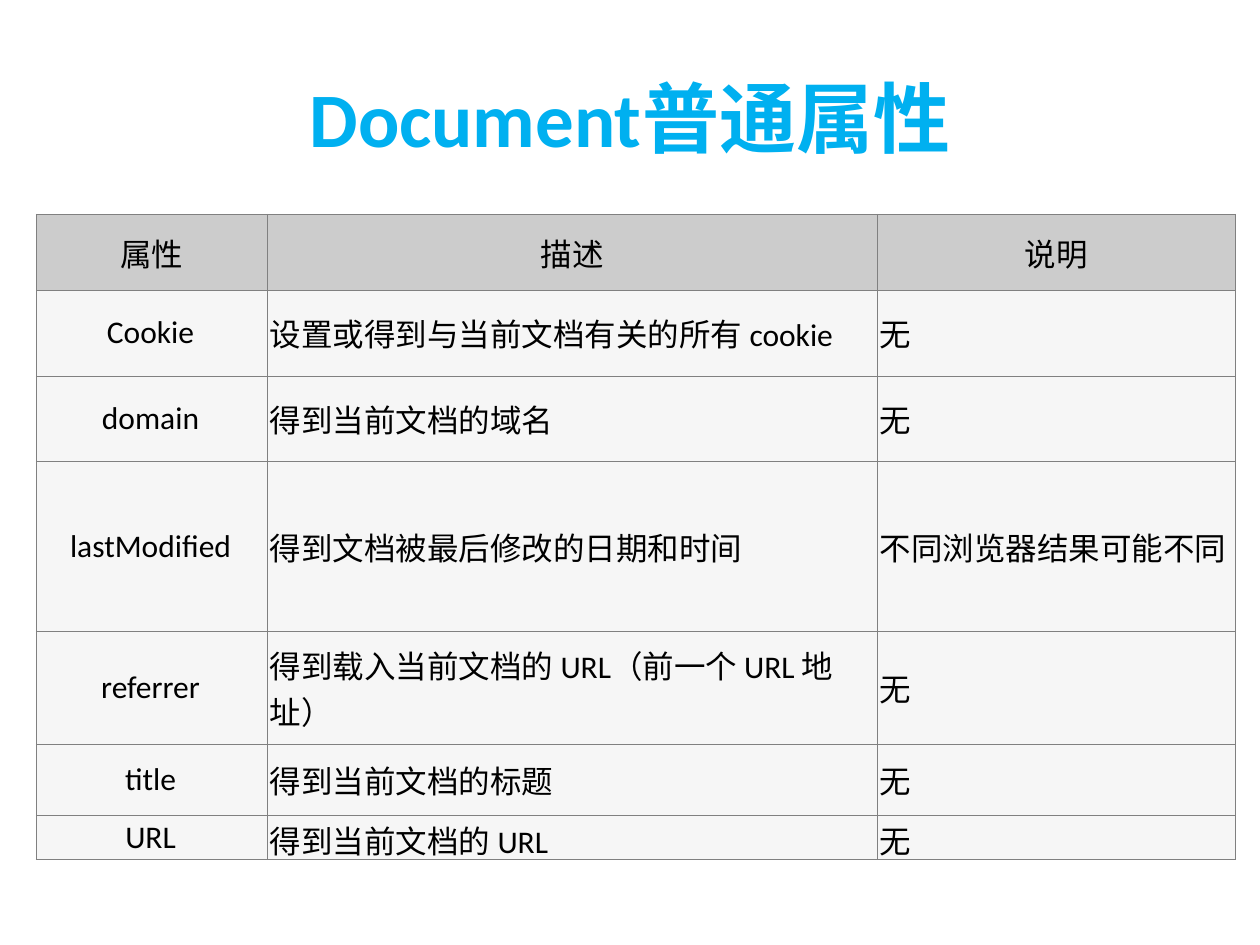
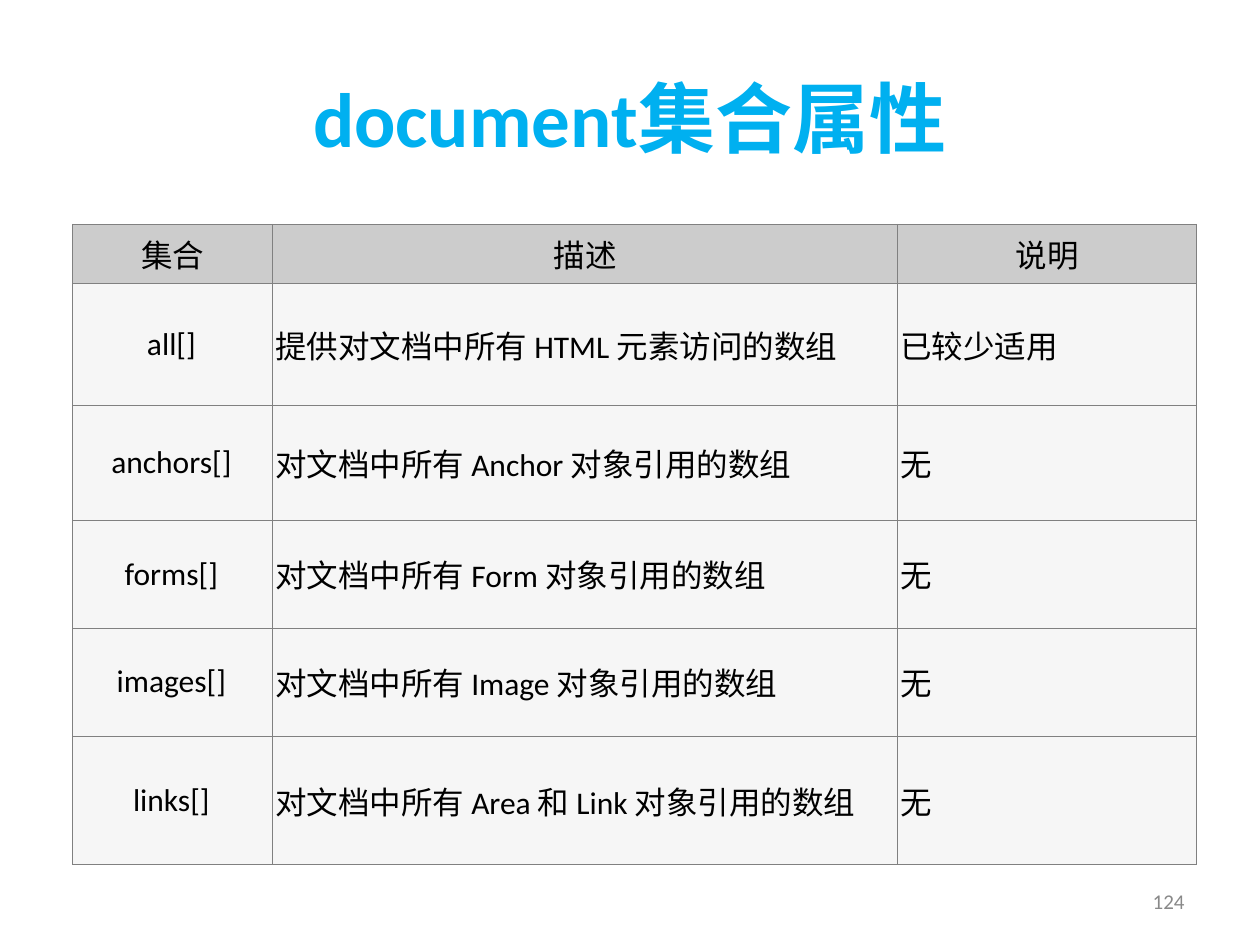
from lxml import etree
from pptx import Presentation
from pptx.dml.color import RGBColor
from pptx.enum import lang, text
from pptx.oxml import ns
from pptx.util import Pt

COLORS = {"title": "00B0F0", "header": "CCCCCC", "body": "F6F6F6",
          "border": "808080", "ink": "000000", "number": "898989"}
FONT = "Calibri"
BORDER_WIDTH = Pt(0.6)
MIDDLE = text.MSO_ANCHOR.MIDDLE
LEFT, CENTER, RIGHT = text.PP_ALIGN.LEFT, text.PP_ALIGN.CENTER, text.PP_ALIGN.RIGHT

SLIDES = [
    {
        "title": "Document普通属性",
        "left": 20.7, "top": 122.4,
        "widths": [132.2, 348.5, 204.5],
        "heights": [43.5, 49, 48.8, 97, 64.6, 41, 25.2],
        "rows": [
            ("属性", "描述", "说明"),
            ("Cookie", "设置或得到与当前文档有关的所有 cookie", "无"),
            ("domain", "得到当前文档的域名", "无"),
            ("lastModified", "得到文档被最后修改的日期和时间", "不同浏览器结果可能不同"),
            ("referrer", "得到载入当前文档的 URL（前一个 URL 地址）", "无"),
            ("title", "得到当前文档的标题", "无"),
            ("URL", "得到当前文档的 URL", "无"),
        ],
        "number": None,
    },
    {
        "title": "document集合属性",
        "left": 41.5, "top": 128.2,
        "widths": [114.4, 357.1, 170.7],
        "heights": [33.8, 69.8, 65.6, 61.5, 61.8, 73.4],
        "rows": [
            ("集合", "描述", "说明"),
            ("all[]", "提供对文档中所有 HTML 元素访问的数组", "已较少适用"),
            ("anchors[]", "对文档中所有 Anchor 对象引用的数组", "无"),
            ("forms[]", "对文档中所有 Form 对象引用的数组", "无"),
            ("images[]", "对文档中所有 Image 对象引用的数组", "无"),
            ("links[]", "对文档中所有 Area 和 Link 对象引用的数组", "无"),
        ],
        "number": "124",
    },
]


def write(frame, words, size, color, align, bold=False):
    frame.text = words
    frame.word_wrap = True
    paragraph = frame.paragraphs[0]
    paragraph.alignment = align
    font = paragraph.runs[0].font
    font.name, font.size, font.bold = FONT, Pt(size), bold
    font.color.rgb = RGBColor.from_string(COLORS[color])
    font.language_id = lang.MSO_LANGUAGE_ID.SIMPLIFIED_CHINESE


def style_cell(cell, fill, left, right):
    """Set insets, four borders and fill; borders must precede the fill in XML."""
    cell.vertical_anchor = MIDDLE
    cell.margin_left, cell.margin_right = Pt(left), Pt(right)
    cell.margin_top = cell.margin_bottom = Pt(0.7)
    properties = cell._tc.get_or_add_tcPr()
    for side in ("a:lnL", "a:lnR", "a:lnT", "a:lnB"):
        line = etree.SubElement(properties, ns.qn(side), w=str(BORDER_WIDTH))
        solid = etree.SubElement(line, ns.qn("a:solidFill"))
        etree.SubElement(solid, ns.qn("a:srgbClr"), val=COLORS["border"])
    cell.fill.solid()
    cell.fill.fore_color.rgb = RGBColor.from_string(COLORS[fill])


deck = Presentation()
deck.slide_width, deck.slide_height = Pt(720), Pt(540)

for content in SLIDES:
    slide = deck.slides.add_slide(deck.slide_layouts[6])

    title = slide.shapes.add_textbox(Pt(36), Pt(21.6), Pt(648), Pt(90)).text_frame
    title.vertical_anchor = MIDDLE
    write(title, content["title"], 44, "title", CENTER, bold=True)

    rows, widths, heights = content["rows"], content["widths"], content["heights"]
    properties_table = slide.shapes.add_table(
        len(rows), len(widths), Pt(content["left"]), Pt(content["top"]),
        Pt(sum(widths)), Pt(sum(heights))).table
    properties_table.first_row = False
    properties_table.horz_banding = False
    for column, width in zip(properties_table.columns, widths):
        column.width = Pt(width)
    for row, height in zip(properties_table.rows, heights):
        row.height = Pt(height)

    for r, row in enumerate(rows):
        for c, words in enumerate(row):
            cell = properties_table.cell(r, c)
            if r == 0:
                style_cell(cell, "header", 0.7, 0.7)
            else:
                style_cell(cell, "body", 1.4, 2.9)
            align = CENTER if r == 0 or c == 0 else LEFT
            write(cell.text_frame, words, 18, "ink", align)

    if content["number"]:
        number = slide.shapes.add_textbox(Pt(516), Pt(500.5), Pt(168), Pt(28.8)).text_frame
        number.vertical_anchor = MIDDLE
        write(number, content["number"], 12, "number", RIGHT)

deck.save("out.pptx")
